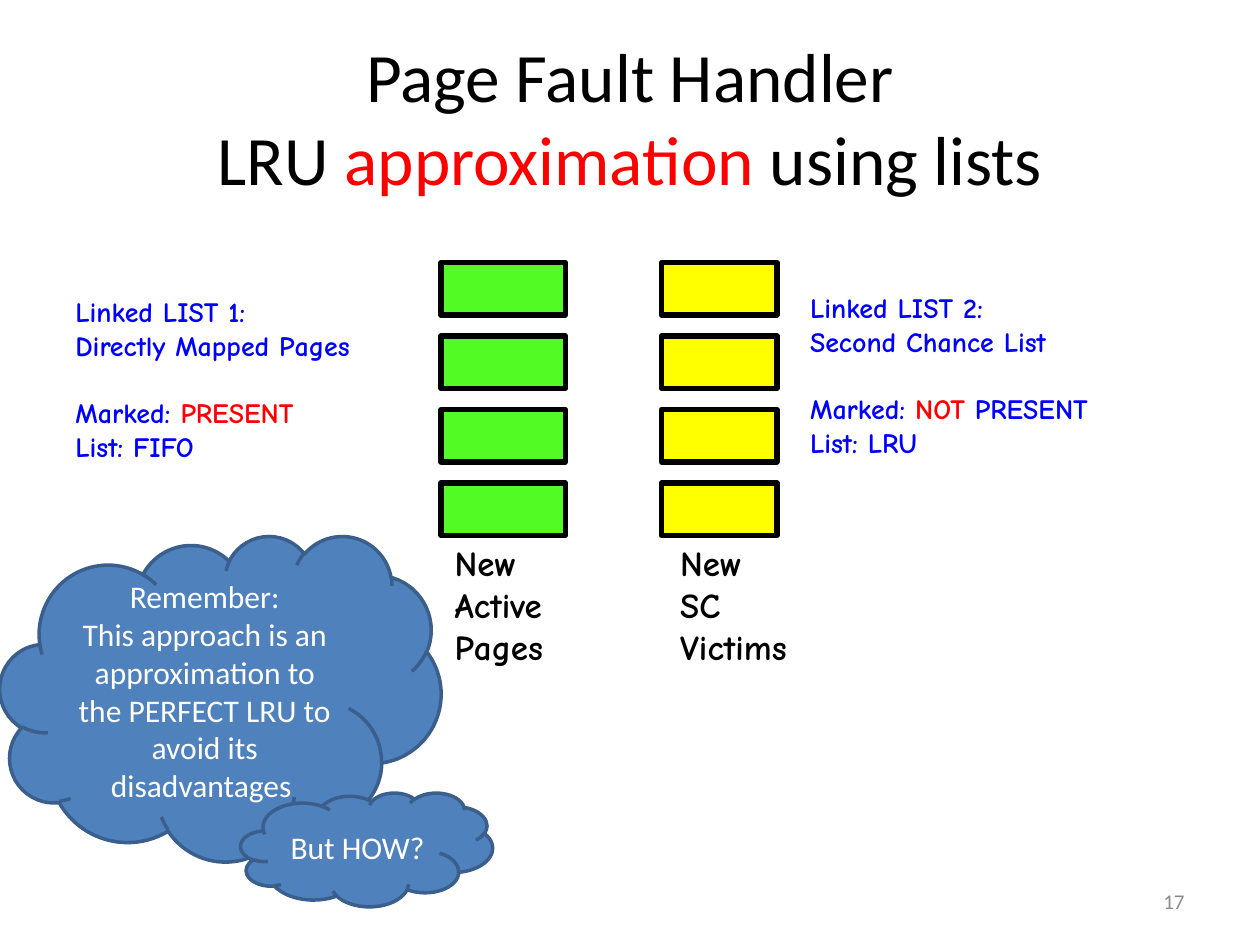
from pptx import Presentation
from pptx.dml.color import RGBColor
from pptx.enum.shapes import MSO_SHAPE
from pptx.enum.text import MSO_ANCHOR, PP_ALIGN
from pptx.util import Pt

RECT, CLOUD = MSO_SHAPE.RECTANGLE, MSO_SHAPE.CLOUD
TOP, MID = MSO_ANCHOR.TOP, MSO_ANCHOR.MIDDLE
LEFT, MIDDLE, RIGHT = PP_ALIGN.LEFT, PP_ALIGN.CENTER, PP_ALIGN.RIGHT
RED, BLUE, BLACK, WHITE = "FF0000", "0000FF", "000000", "FFFFFF"
GRAY, STEEL, NAVY = "8C8C8C", "4F81BD", "3A5F8C"

# Text formats
HEAD = dict(size=39.6, font="Calibri", color=BLACK, align=MIDDLE, anchor=MID)
PAGE = dict(size=12, font="Calibri", color=GRAY, align=RIGHT, anchor=MID)
NOTE = dict(size=16, font="Comic Neue", color=BLUE, bold=True)
LABEL = dict(size=20, font="Comic Neue", color=BLACK, bold=True, wrap=False)
CLAIM = dict(size=18, font="Calibri", color=WHITE, align=MIDDLE, anchor=MID)

# A line is a list of runs; a run is text or (text, colour); "" adds a gap
TITLE = [["Page Fault Handler\vLRU ", ("approximation", RED), " using lists"]]
TEXTS = [
    ((516.2, 500.4, 167.8, 28.8), PAGE, [["17"]]),
    ((36, 164.9, 203, 103.7), NOTE, [
        ["Linked LIST 1:"], ["Directly Mapped Pages"], "",
        ["Marked: ", ("PRESENT", RED)], ["List: FIFO"]]),
    ((455.8, 162.7, 246.2, 103.7), NOTE, [
        ["Linked LIST 2:"], ["Second Chance List"], "",
        ["Marked: ", ("NOT", RED), " PRESENT"], ["List: LRU"]]),
    ((252.7, 306, 74.9, 79.2), LABEL, [["New"], ["Active"], ["Pages"]]),
    ((381.6, 306, 83.5, 79.2), LABEL, [["New"], ["SC"], ["Victims"]]),
]
CLOUDS = [
    ((0, 306, 252, 186), [
        ["Remember:"],
        ["This approach is an approximation to the PERFECT LRU "
         "to avoid its disadvantages "]]),
    ((137.5, 453, 144, 65), [["But HOW?"]]),
]
LISTS = [(378, 66, "FFFF00"), (252, 71, "53FB25")]  # left, width, fill
ROWS, FIRST, STEP, TALL = 4, 150, 42, 30
GAP = 1.2  # blank line height, in text sizes


def rgb(code):
    """Turn a hex string into a colour."""
    return RGBColor.from_string(code)


def place(shape, box):
    """Move a shape to a box given in points."""
    for name, val in zip(("left", "top", "width", "height"), box):
        setattr(shape, name, Pt(val))


def write(shape, form, lines):
    """Fill a shape with formatted lines of runs."""
    frame = shape.text_frame
    looks = dict(word_wrap=form.get("wrap", True),
                 vertical_anchor=form.get("anchor", TOP))
    for name, val in looks.items():
        setattr(frame, name, val)
    para, gap = frame.paragraphs[0], 0
    for num, line in enumerate(lines):
        if not line:
            gap = form["size"] * GAP
            continue
        if num:
            para = frame.add_paragraph()
        para.alignment = form.get("align", LEFT)
        if gap:
            para.space_before, gap = Pt(gap), 0
        for part in line:
            text, color = (part, form["color"]) if isinstance(part, str) else part
            for step, piece in enumerate(text.split("\v")):
                if step:
                    para.add_line_break()
                run = para.add_run()
                run.text = piece
                font = dict(size=Pt(form["size"]), name=form["font"],
                            bold=form.get("bold", False))
                for name, val in font.items():
                    setattr(run.font, name, val)
                run.font.color.rgb = rgb(color)


def draw(slide, kind, box, fill, line, width):
    """Add a filled and outlined shape without shadow."""
    shape = slide.shapes.add_shape(kind, *map(Pt, box))
    shape.shadow.inherit = False
    shape.fill.solid()
    shape.fill.fore_color.rgb = rgb(fill)
    shape.line.color.rgb = rgb(line)
    shape.line.width = Pt(width)
    return shape


def build():
    """Make the slide and save it."""
    deck = Presentation()
    deck.slide_width, deck.slide_height = Pt(720), Pt(540)
    slide = deck.slides.add_slide(deck.slide_layouts[5])
    title = slide.shapes.title
    place(title, (36, 21.6, 648, 90))
    write(title, HEAD, TITLE)
    for left, width, fill in LISTS:
        for row in range(ROWS):
            box = (left, FIRST + row * STEP, width, TALL)
            draw(slide, RECT, box, fill, BLACK, 3)
    for box, form, lines in TEXTS:
        write(slide.shapes.add_textbox(*map(Pt, box)), form, lines)
    for box, lines in CLOUDS:
        write(draw(slide, CLOUD, box, STEEL, NAVY, 2), CLAIM, lines)
    deck.save("out.pptx")


build()
